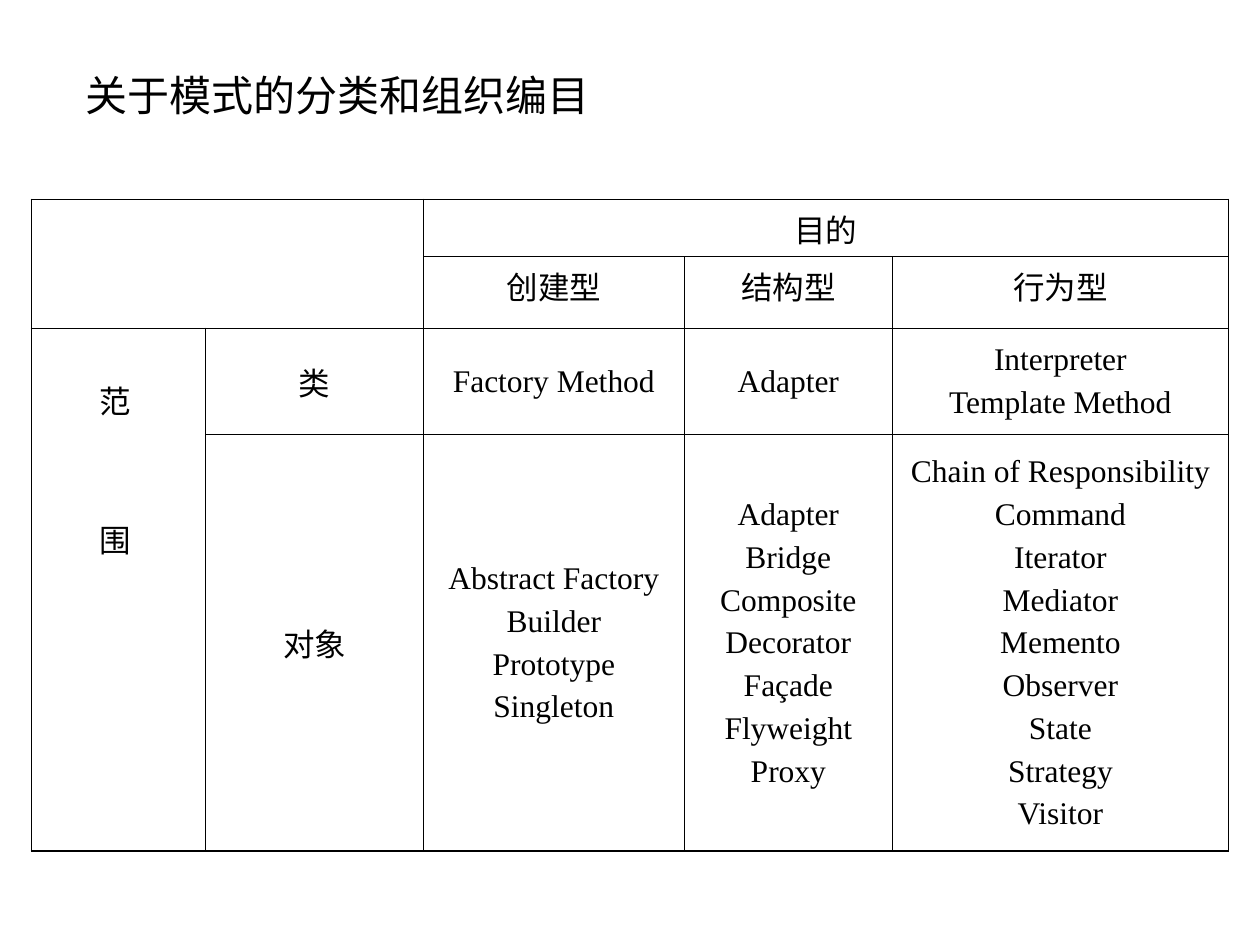
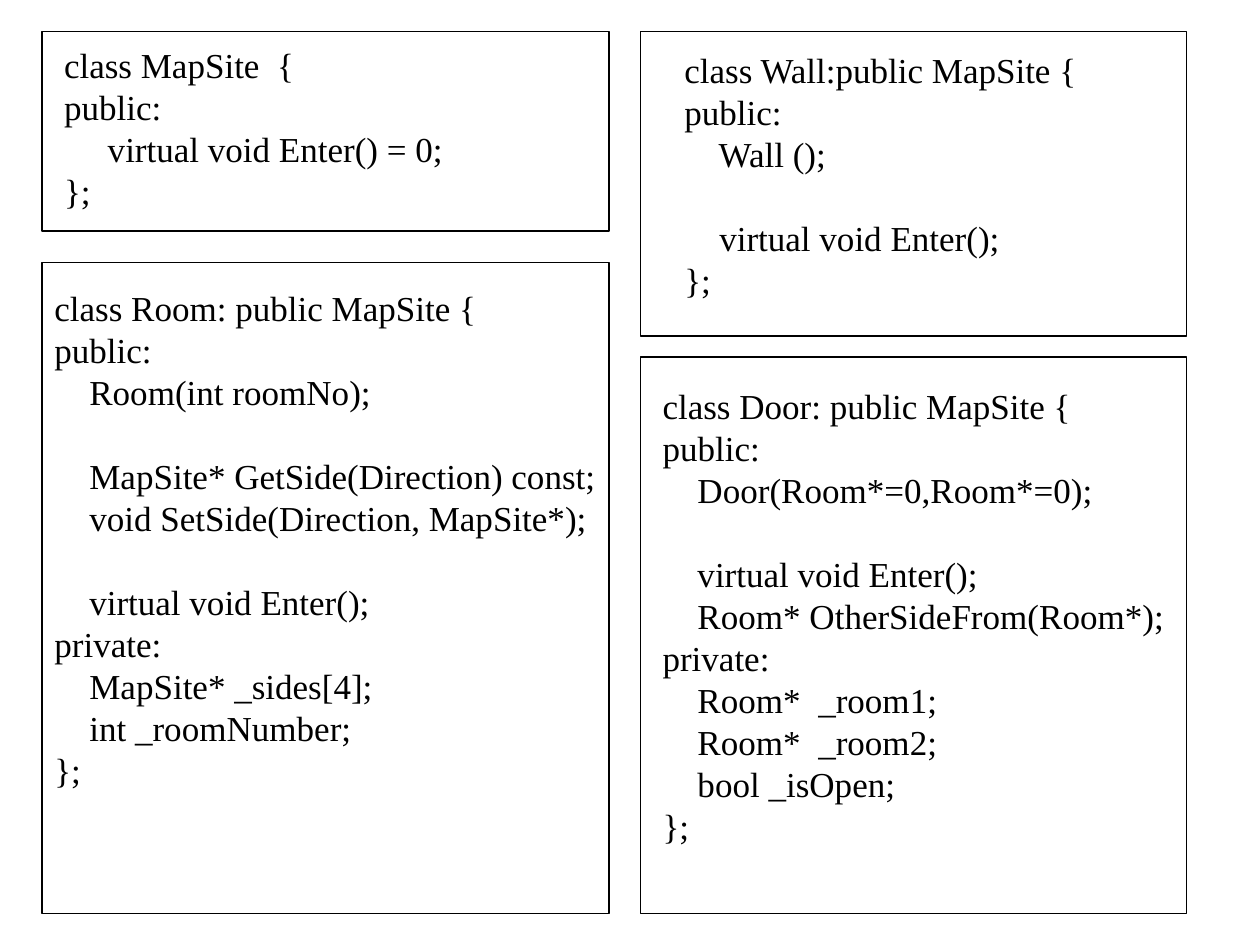
from lxml import etree
from pptx import Presentation
from pptx.dml.color import RGBColor
from pptx.enum.shapes import MSO_SHAPE
from pptx.enum.text import MSO_ANCHOR, MSO_AUTO_SIZE, PP_ALIGN
from pptx.oxml.ns import qn
from pptx.util import Pt

FONT = "Times New Roman"
INK = "000000"
PAPER = "FFFFFF"
SLIDE_SIZE = (720, 540)

TITLE = "关于模式的分类和组织编目"
TITLE_BOX = (42, 36, 618, 36)
TITLE_SIZE = 24

CATALOG_ORIGIN = (18, 114)
CATALOG_COLUMNS = [99.5, 124.5, 149, 119, 192]
CATALOG_ROWS = [32.5, 41, 61, 238]
CATALOG_SIZE = 18
CATALOG_GAP = 4.5
HEADER_ROWS = 2
INNER_BORDER, OUTER_BORDER = 0.45, 1.08
MERGES = [((0, 0), (1, 1)), ((0, 2), (0, 4)), ((2, 0), (3, 0))]
SCOPE = (2, 0)
SCOPE_INSET = (39, 28)
SCOPE_GAP = 53.5
CATALOG = {
    (0, 2): ["目的"],
    (1, 2): ["创建型"],
    (1, 3): ["结构型"],
    (1, 4): ["行为型"],
    SCOPE: ["范", "围"],
    (2, 1): ["类"],
    (2, 2): ["Factory Method"],
    (2, 3): ["Adapter"],
    (2, 4): ["Interpreter", "Template Method"],
    (3, 1): ["对象"],
    (3, 2): ["Abstract Factory", "Builder", "Prototype", "Singleton"],
    (3, 3): ["Adapter", "Bridge", "Composite", "Decorator", "Façade",
             "Flyweight", "Proxy"],
    (3, 4): ["Chain of Responsibility", "Command", "Iterator", "Mediator",
             "Memento", "Observer", "State", "Strategy", "Visitor"],
}

CODE_SIZE = 20
CODE_LINE = 24
CODE_INSET = 3.6
FRAME_LINE = 0.75
CLASSES = [
    {"frame": (24, 18, 324, 114), "code_at": (29.5, 21.5), "code_width": 231,
     "code": """class MapSite  {
public:
     virtual void Enter() = 0;
};"""},
    {"frame": (24, 150, 324, 372), "code_at": (24, 160), "code_width": 324,
     "code": """class Room: public MapSite {
public:
    Room(int roomNo);

    MapSite* GetSide(Direction) const;
    void SetSide(Direction, MapSite*);

    virtual void Enter();
private:
    MapSite* _sides[4];
    int _roomNumber;
};"""},
    {"frame": (366, 18, 312, 174), "code_at": (384, 24), "code_width": 240.5,
     "code": """class Wall:public MapSite {
public:
    Wall ();

    virtual void Enter();
};"""},
    {"frame": (366, 204, 312, 318), "code_at": (371.5, 216), "code_width": 301,
     "code": """class Door: public MapSite {
public:
    Door(Room*=0,Room*=0);

    virtual void Enter();
    Room* OtherSideFrom(Room*);
private:
    Room*  _room1;
    Room*  _room2;
    bool _isOpen;
};"""},
]


def color(hex_code):
    return RGBColor.from_string(hex_code)


def points(*lengths):
    return [Pt(length) for length in lengths]


def add_page(deck):
    page = deck.slides.add_slide(deck.slide_layouts[6])
    page.background.fill.solid()
    page.background.fill.fore_color.rgb = color(PAPER)
    return page


def write(frame, lines, size, align=PP_ALIGN.LEFT, gaps=None):
    frame.text = "\n".join(lines)
    for index, paragraph in enumerate(frame.paragraphs):
        paragraph.alignment = align
        paragraph.space_before = Pt(gaps[index] if gaps else 0)
        for run in paragraph.runs:
            run.font.name = FONT
            run.font.size = Pt(size)
            run.font.color.rgb = color(INK)


def add_text(page, box, lines, size, wrap, gaps=None):
    frame = page.shapes.add_textbox(*points(*box)).text_frame
    frame.word_wrap = wrap
    frame.auto_size = MSO_AUTO_SIZE.SHAPE_TO_FIT_TEXT
    write(frame, lines, size, gaps=gaps)


def set_borders(cell, widths):
    properties = cell._tc.get_or_add_tcPr()
    for side, width in widths.items():
        border = etree.SubElement(properties, qn(f"a:ln{side}"), w=str(Pt(width)))
        fill = etree.SubElement(border, qn("a:solidFill"))
        etree.SubElement(fill, qn("a:srgbClr"), val=INK)


def add_catalog(page):
    row_count, column_count = len(CATALOG_ROWS), len(CATALOG_COLUMNS)
    size = (sum(CATALOG_COLUMNS), sum(CATALOG_ROWS))
    catalog = page.shapes.add_table(
        row_count, column_count, *points(*CATALOG_ORIGIN, *size)).table
    catalog.first_row = catalog.horz_banding = False
    for column, width in zip(catalog.columns, CATALOG_COLUMNS):
        column.width = Pt(width)
    for row, height in zip(catalog.rows, CATALOG_ROWS):
        row.height = Pt(height)
    for first, last in MERGES:
        catalog.cell(*first).merge(catalog.cell(*last))

    for r in range(row_count):
        for c in range(column_count):
            cell = catalog.cell(r, c)
            outer = {
                "L": c == 0,
                "R": c + cell.span_width == column_count,
                "T": r == 0,
                "B": r + cell.span_height == row_count,
            }
            set_borders(cell, {side: OUTER_BORDER if edge else INNER_BORDER
                               for side, edge in outer.items()})
            cell.fill.background()

    for place, names in CATALOG.items():
        cell = catalog.cell(*place)
        align, gap = PP_ALIGN.CENTER, CATALOG_GAP
        if place == SCOPE:
            align, gap = PP_ALIGN.LEFT, SCOPE_GAP
            cell.margin_left, cell.margin_top = points(*SCOPE_INSET)
        elif place[0] >= HEADER_ROWS:
            cell.vertical_anchor = MSO_ANCHOR.MIDDLE
        gaps = [0] + [gap] * (len(names) - 1)
        write(cell.text_frame, names, CATALOG_SIZE, align, gaps)


def add_class(page, frame, code_at, code_width, code):
    rows = code.split("\n")
    lines, gaps = [], []
    for index, line in enumerate(rows):
        if line:
            lines.append(line)
            gaps.append(CODE_LINE if index and not rows[index - 1] else 0)
    height = len(rows) * CODE_LINE + 2 * CODE_INSET
    add_text(page, (*code_at, code_width, height), lines, CODE_SIZE, False, gaps)
    outline = page.shapes.add_shape(MSO_SHAPE.RECTANGLE, *points(*frame))
    outline.shadow.inherit = False
    outline.fill.background()
    outline.line.color.rgb = color(INK)
    outline.line.width = Pt(FRAME_LINE)


def main():
    deck = Presentation()
    deck.slide_width, deck.slide_height = points(*SLIDE_SIZE)

    catalog_page = add_page(deck)
    add_text(catalog_page, TITLE_BOX, [TITLE], TITLE_SIZE, True)
    add_catalog(catalog_page)

    code_page = add_page(deck)
    for entry in CLASSES:
        add_class(code_page, **entry)

    deck.save("out.pptx")


if __name__ == "__main__":
    main()
